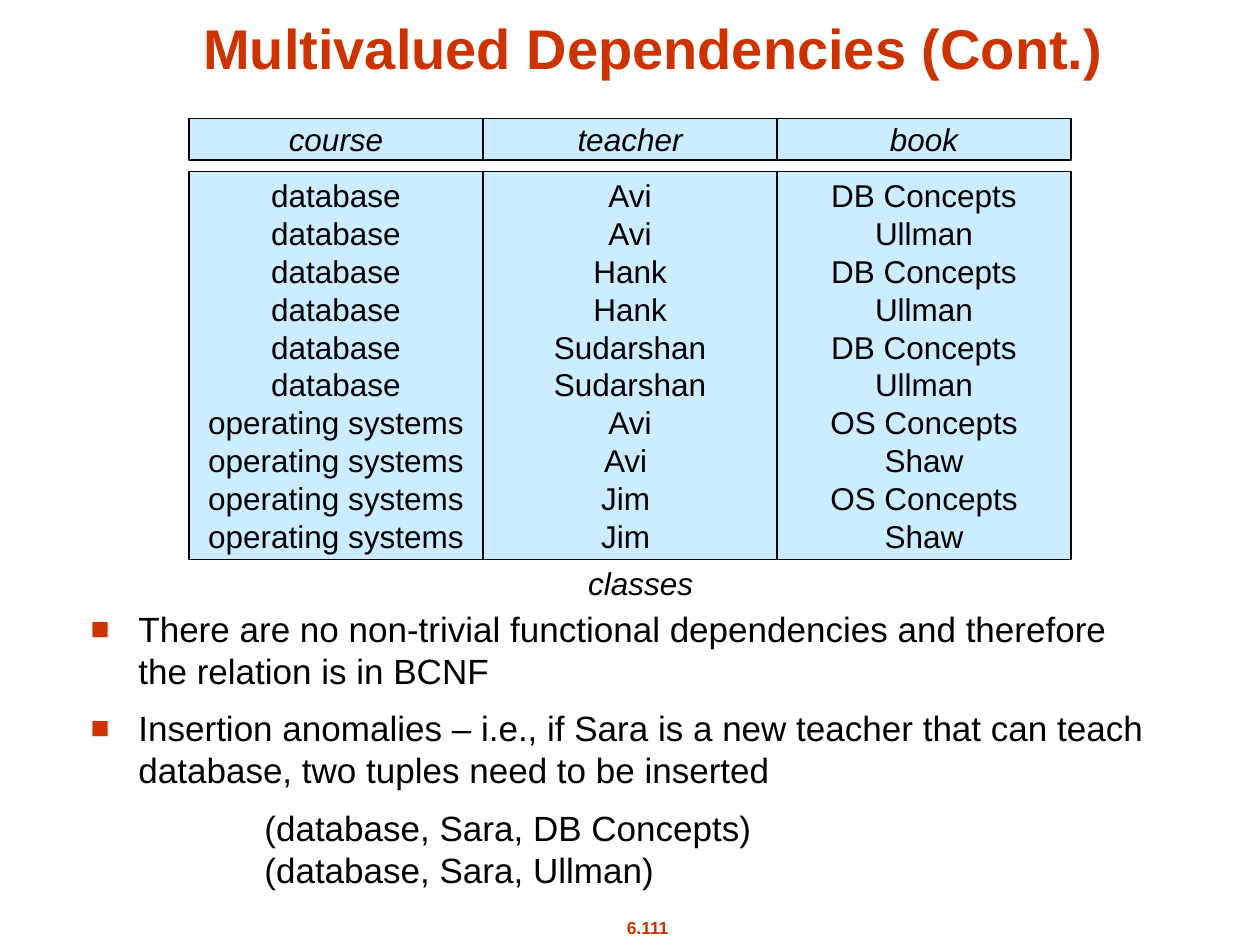
from pptx import Presentation
from pptx.dml.color import RGBColor
from pptx.enum.shapes import MSO_SHAPE as Shape
from pptx.enum.text import MSO_ANCHOR as Anchor, PP_ALIGN as Align
from pptx.oxml import parse_xml
from pptx.oxml.ns import nsdecls
from pptx.util import Inches, Pt

RED = "CC3300"
BLACK = "000000"
PALE_BLUE = "CCECFF"


def color(value):
    return RGBColor.from_string(value)


def write(shape, lines, size=18, ink=BLACK, bold=False, italic=False,
          align=Align.CENTER, anchor=Anchor.MIDDLE, wrap=False,
          before=0, indents=None, bullets=0):
    """Fill a shape with paragraphs; the first `bullets` of them get a square."""
    frame = shape.text_frame
    frame.word_wrap = wrap
    frame.vertical_anchor = anchor
    for index, line in enumerate(lines):
        paragraph = frame.paragraphs[0] if index == 0 else frame.add_paragraph()
        paragraph.text = line
        paragraph.alignment = align
        if index and before:
            paragraph.space_before = Pt(before)
        properties = paragraph._p.get_or_add_pPr()
        if indents:
            properties.set("marL", str(Inches(indents[index])))
        if index < bullets:
            properties.set("indent", str(-Inches(indents[index])))
            for xml in (
                f'<a:buClr {nsdecls("a")}><a:srgbClr val="{RED}"/></a:buClr>',
                f'<a:buSzPct {nsdecls("a")} val="90000"/>',
                f'<a:buFont {nsdecls("a")} typeface="Arial"/>',
                f'<a:buChar {nsdecls("a")} char="■"/>',
            ):
                properties.append(parse_xml(xml))
        for run in paragraph.runs:
            run.font.name = "Arial"
            run.font.size = Pt(size)
            run.font.bold = bold
            run.font.italic = italic
            run.font.color.rgb = color(ink)


presentation = Presentation()
presentation.slide_width = Inches(10)
presentation.slide_height = Inches(7.5)
slide = presentation.slides.add_slide(presentation.slide_layouts[6])

# Title
title = slide.shapes.add_textbox(Inches(1.29), 0, Inches(7.79), Inches(0.69))
write(title, ["Multivalued Dependencies (Cont.)"], size=32, ink=RED, bold=True,
      anchor=Anchor.BOTTOM, wrap=True)

# Relation: one header box and one body box per attribute
columns = {
    "course": ["database"] * 6 + ["operating systems"] * 4,
    "teacher": ["Avi", "Avi", "Hank", "Hank", "Sudarshan", "Sudarshan",
                "Avi", "Avi ", "Jim ", "Jim "],
    "book": ["DB Concepts", "Ullman"] * 3 + ["OS Concepts", "Shaw"] * 2,
}
column_width = Inches(7) / len(columns)
for number, (attribute, values) in enumerate(columns.items()):
    left = int(Inches(1.5) + number * column_width)
    for top, height, lines, italic in (
        (0.94, 0.33, [attribute], True),
        (1.36, 3.08, values, False),
    ):
        box = slide.shapes.add_shape(Shape.RECTANGLE, left, Inches(top),
                                     int(column_width), Inches(height))
        box.shadow.inherit = False
        box.fill.solid()
        box.fill.fore_color.rgb = color(PALE_BLUE)
        box.line.color.rgb = color(BLACK)
        box.line.width = Pt(0.75)
        write(box, lines, italic=italic)

# Relation name
caption = slide.shapes.add_textbox(Inches(4.53), Inches(4.43), Inches(1.11), Inches(0.4))
write(caption, ["classes"], italic=True, anchor=Anchor.TOP)

# Remarks and the tuples to insert
remarks = slide.shapes.add_textbox(Inches(0.62), Inches(4.77), Inches(8.58), Inches(2.53))
write(remarks, [
    "There are no non-trivial functional dependencies and therefore "
    "the relation is in BCNF",
    "Insertion anomalies – i.e., if Sara is a new teacher that can teach "
    "database, two tuples need to be inserted",
    "(database, Sara, DB Concepts)\v(database, Sara, Ullman)",
], size=20, align=Align.LEFT, anchor=Anchor.TOP, wrap=True,
    before=8.8, indents=[0.38, 0.38, 1.38], bullets=2)

# Page number
page_number = slide.shapes.add_textbox(Inches(4.65), Inches(7.23), Inches(0.98), Inches(0.27))
write(page_number, ["6.111"], size=10, ink=RED, bold=True, anchor=Anchor.TOP)

presentation.save("out.pptx")
